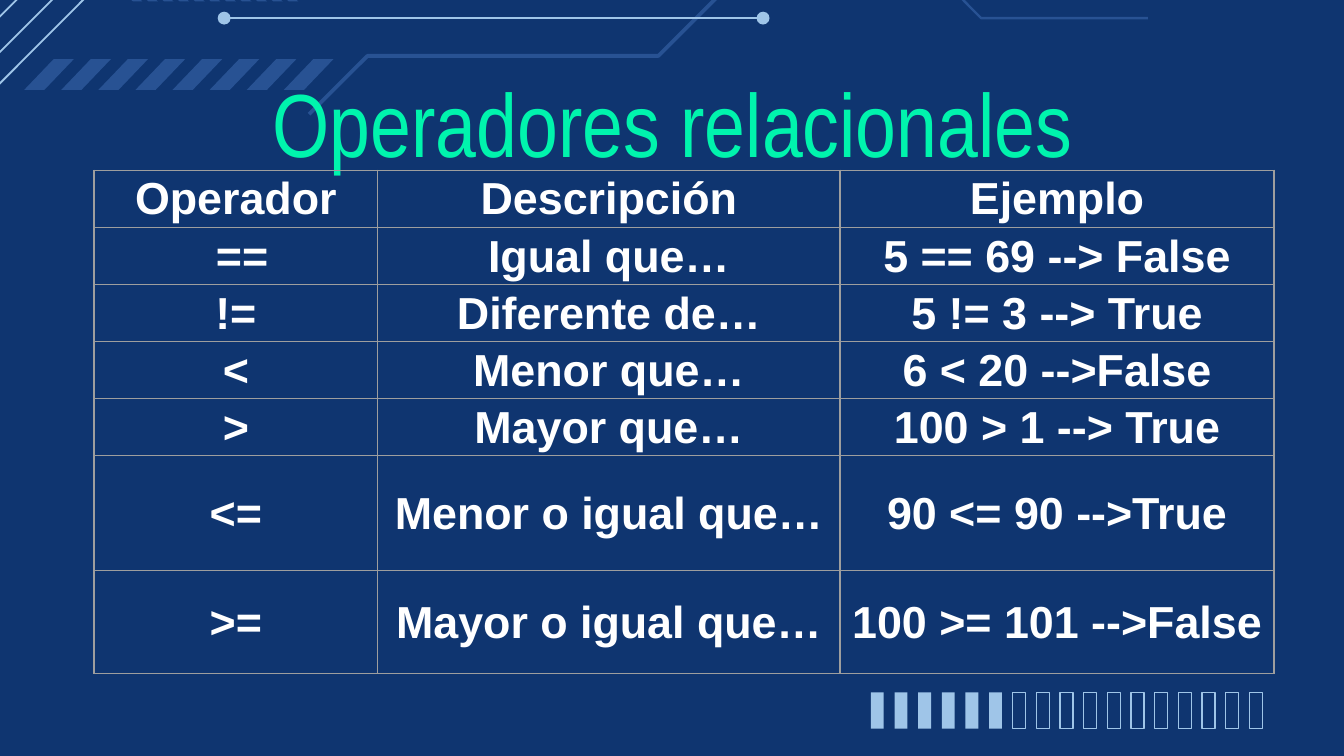
import pptx
import pptx.util
import pptx.dml.color
import pptx.enum.shapes
import pptx.enum.text
import pptx.oxml.ns
import lxml.etree

NAVY, ROYAL, SKY, MINT, WHITE, GREY = (
    "0F3570", "285293", "9FC5E8", "00F4AD", "FFFFFF", "9E9E9E")

deck = pptx.Presentation()
deck.slide_width = pptx.util.Inches(10)
deck.slide_height = deck.slide_width * 9 // 16
COLUMN, ROW = deck.slide_width / 100, deck.slide_height / 100


def grid(column, row):
    """Turn grid units (a hundredth of the slide each way) into lengths."""
    return pptx.util.Emu(round(column * COLUMN)), pptx.util.Emu(round(row * ROW))


def colour(hex_code):
    return pptx.dml.color.RGBColor.from_string(hex_code)


slide = deck.slides.add_slide(deck.slide_layouts[5])
slide.background.fill.solid()
slide.background.fill.fore_color.rgb = colour(NAVY)
shapes = slide.shapes

# Circuit traces, striped bands: points, closed, colour, line width
outlines = [
    ([(-1.9, 14.4), (12.7, -11.6), (25.9, -11.6), (31.4, -1.9), (44.9, -1.9),
      (52.8, -16.1), (60.4, -16.1)], False, SKY, 1),
    ([(23, 15.11), (27.35, 7.4), (49, 7.4), (54.65, -2.67), (64.6, -2.67)],
     False, ROYAL, 2),
    ([(58.5, -6.76), (67.9, -6.76), (73, 2.4), (85.4, 2.4)], False, ROYAL, 1.25),
]
for i in range(8):
    left = 1.8 + 2.76 * i
    outlines.append(([(left, 11.9), (left + 1.5, 11.9), (left + 3.7, 7.82),
                      (left + 2.2, 7.82)], True, ROYAL, 0))
for i in range(11):
    left = 8.7 + 1.16 * i
    outlines.append(([(left, -1.6), (left + 1.2, 0.2), (left + 1.9, 0.2),
                      (left + 0.7, -1.6), (left + 1.8, -3.4), (left + 1, -3.4)],
                     True, ROYAL, 0))

decorations = []  # shape, fill, line, line width
for points, closed, tint, width in outlines:
    corners = [grid(*point) for point in points]
    builder = shapes.build_freeform(*corners[0])
    builder.add_line_segments(corners[1:], close=closed)
    decorations.append((builder.convert_to_shape(), tint if closed else None,
                        None if closed else tint, width))

# Straight traces
for start, end in [((16.7, 2.4), (56.8, 2.4)),
                   ((-4.3, 14.5), (10.5, -11.8)),
                   ((-6.15, 13.1), (8.7, -13.3))]:
    trace = shapes.add_connector(pptx.enum.shapes.MSO_CONNECTOR.STRAIGHT,
                                 *grid(*start), *grid(*end))
    trace.line.color.rgb = colour(SKY)
    trace.line.width = pptx.util.Pt(1)
    lxml.etree.SubElement(trace._element.spPr, pptx.oxml.ns.qn("a:effectLst"))

# Dots at the ends of the horizontal trace
for left in (16.2, 56.3):
    dot = shapes.add_shape(pptx.enum.shapes.MSO_SHAPE.OVAL,
                           *grid(left, 1.55), *grid(0.96, 1.7))
    decorations.append((dot, SKY, None, 0))

# Progress bars, the first six full
for i in range(17):
    bar = shapes.add_shape(pptx.enum.shapes.MSO_SHAPE.RECTANGLE,
                           *grid(64.8 + 1.76 * i, 91.6), *grid(0.96, 4.8))
    full = i < 6
    decorations.append((bar, SKY if full else None, None if full else SKY, 0.75))

for shape, fill, line, width in decorations:
    shape.shadow.inherit = False
    if fill:
        shape.fill.solid()
        shape.fill.fore_color.rgb = colour(fill)
    else:
        shape.fill.background()
    if line:
        shape.line.color.rgb = colour(line)
        shape.line.width = pptx.util.Pt(width)
    else:
        shape.line.fill.background()

# Title, in front of the decorations
title = shapes.title
shapes._spTree.append(title._element)
title.left, title.top = grid(7.9, 8.98)
title.width, title.height = grid(84.3, 9.43)
title.text_frame.text = "Operadores relacionales"
frame_format = {"margin_left": 0, "margin_right": 0, "margin_top": 0,
                "margin_bottom": 0, "word_wrap": True,
                "auto_size": pptx.enum.text.MSO_AUTO_SIZE.NONE,
                "vertical_anchor": pptx.enum.text.MSO_ANCHOR.TOP}
for name, value in frame_format.items():
    setattr(title.text_frame, name, value)
heading = title.text_frame.paragraphs[0]
heading.alignment = pptx.enum.text.PP_ALIGN.CENTER
for name, value in {"name": "Arial Narrow", "size": pptx.util.Pt(48),
                    "bold": False}.items():
    setattr(heading.runs[0].font, name, value)
heading.runs[0].font.color.rgb = colour(MINT)

# Table of operators (the equality sign follows a no-break space)
operators = [
    ("Operador", "Descripción", "Ejemplo"),
    (" ==", "Igual que…", "5 == 69 --> False"),
    ("!=", "Diferente de…", "5 != 3 --> True"),
    ("<", "Menor que…", "6 < 20 -->False"),
    (">", "Mayor que…", "100 > 1 --> True"),
    ("<=", "Menor o igual que…", "90 <= 90 -->True"),
    (">=", "Mayor o igual que…", "100 >= 101 -->False"),
]
widths = [21.1, 34.4, 32.3]
heights = [7.56] * 5 + [15.15, 13.7]
table = shapes.add_table(len(heights), len(widths), *grid(7, 22.5),
                         *grid(sum(widths), sum(heights))).table
table.first_row = table.horz_banding = False
for column, width in zip(table.columns, widths):
    column.width = grid(width, 0)[0]
for row, height in zip(table.rows, heights):
    row.height = grid(0, height)[1]

hairline = grid(0.1, 0)[0]
cell_format = {"margin_left": hairline, "margin_right": hairline,
               "margin_top": hairline, "margin_bottom": 0,
               "vertical_anchor": pptx.enum.text.MSO_ANCHOR.MIDDLE}
cell_font = {"name": "Arial", "size": pptx.util.Pt(24), "bold": True}
texts = [text for entry in operators for text in entry]
for cell, text in zip(table.iter_cells(), texts):
    cell.text = text
    for name, value in cell_format.items():
        setattr(cell, name, value)
    paragraph = cell.text_frame.paragraphs[0]
    paragraph.alignment = pptx.enum.text.PP_ALIGN.CENTER
    font = paragraph.runs[0].font
    for name, value in cell_font.items():
        setattr(font, name, value)
    font.color.rgb = colour(WHITE)
    # Borders come before the fill in the cell properties
    properties = cell._tc.get_or_add_tcPr()
    for side in ("lnL", "lnR", "lnT", "lnB"):
        border = lxml.etree.SubElement(properties, pptx.oxml.ns.qn("a:" + side),
                                       w=str(pptx.util.Pt(0.75)))
        paint = lxml.etree.SubElement(border, pptx.oxml.ns.qn("a:solidFill"))
        lxml.etree.SubElement(paint, pptx.oxml.ns.qn("a:srgbClr"), val=GREY)
    cell.fill.background()

deck.save("out.pptx")
